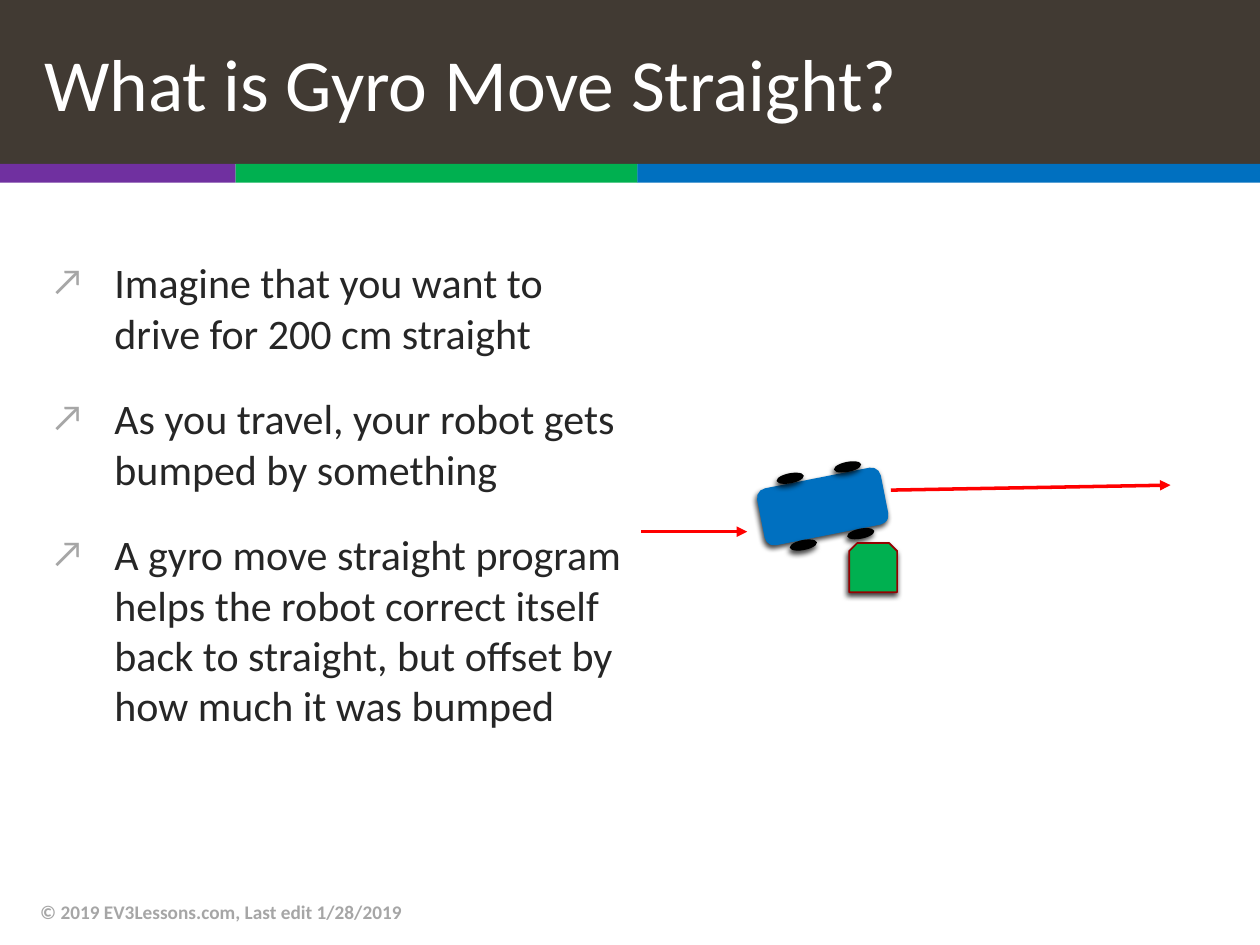
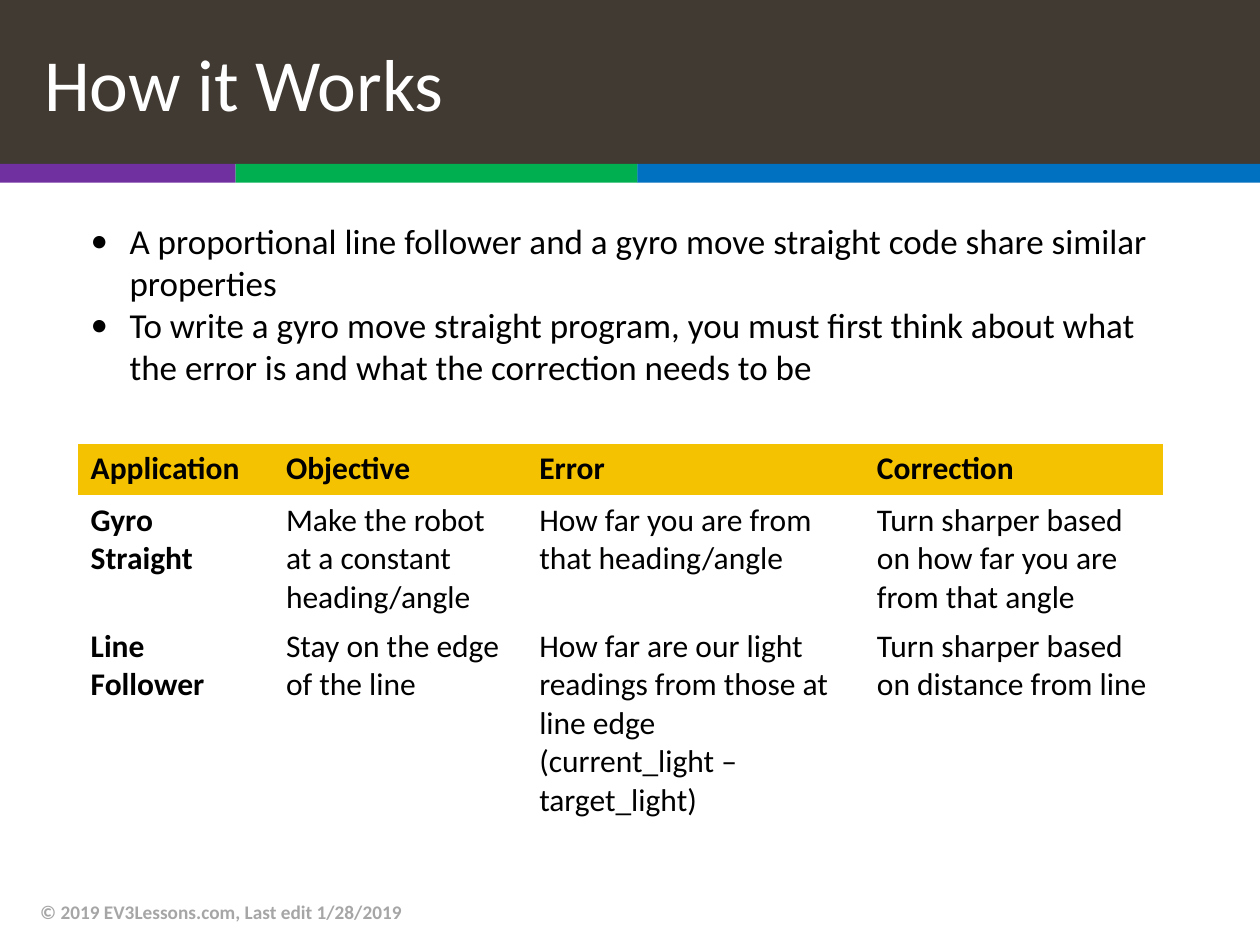
from dataclasses import dataclass
from itertools import product
from math import cos, radians, sin

from lxml import etree
from pptx import Presentation
from pptx import util as u
from pptx.dml.color import RGBColor
from pptx.enum import shapes, text
from pptx.oxml import ns

COLUMNS, ROWS = 100, 75
CELL = u.Inches(0.1)
FONT = "Calibri"
WHITE, BLACK, INK, GREY = "FFFFFF", "000000", "262626", "A6A6A6"
BROWN, PURPLE, GREEN, BLUE = "413A33", "7030A0", "00B050", "0070C0"
RED, MAROON, GOLD = "FF0000", "960000", "F5C201"
NO_STYLE = "{2D5ABB26-0587-4C30-8999-92F81FD0307C}"
SHAPE = shapes.MSO_SHAPE


@dataclass
class Box:
    """A region measured in grid columns and rows."""
    left: float
    top: float
    width: float
    height: float

    def inner(self, column, row, width, height):
        """Return a region placed relative to this one."""
        return Box(self.left + column, self.top + row, width, height)

    def emu(self):
        """Return left, top, width and height as slide lengths."""
        return [cells(n) for n in (self.left, self.top, self.width, self.height)]


PAGE = Box(0, 0, COLUMNS, ROWS)


def cells(count):
    """Convert grid cells to a slide length."""
    return u.Emu(round(count * CELL))


def color(value):
    """Turn a hex string into a colour."""
    return RGBColor.from_string(value)


def add_xml(parent, tag, **attributes):
    """Append a drawing element with attributes."""
    element = etree.SubElement(parent, ns.qn(tag))
    for name, value in attributes.items():
        element.set(name, str(value))
    return element


def set_font(paragraph, size, shade, bold=False):
    """Give a whole paragraph its font."""
    font = paragraph.font
    font.name, font.size, font.bold = FONT, u.Pt(size), bold
    font.color.rgb = color(shade)


def add_shape(slide, kind, box, fill, line=None, tilt=0, shadow=False):
    """Draw a filled preset shape."""
    shape = slide.shapes.add_shape(kind, *box.emu())
    shape.rotation = tilt
    shape.fill.solid()
    shape.fill.fore_color.rgb = color(fill)
    if line:
        shape.line.color.rgb = color(line)
        shape.line.width = u.Pt(1)
    else:
        shape.line.fill.background()
    shape.shadow.inherit = False
    if shadow:
        effects = shape._element.spPr.find(ns.qn("a:effectLst"))
        outer = add_xml(effects, "a:outerShdw", blurRad=u.Pt(3), dist=u.Pt(2),
                        dir=110 * 60000, rotWithShape=0)
        add_xml(add_xml(outer, "a:srgbClr", val=BLACK), "a:alpha", val=75000)
    return shape


def add_arrow(slide, box):
    """Draw a red arrow from the box's top left to its bottom right corner."""
    ends = (box.left, box.top, box.left + box.width, box.top + box.height)
    arrow = slide.shapes.add_connector(shapes.MSO_CONNECTOR.STRAIGHT, *map(cells, ends))
    arrow.line.color.rgb = color(RED)
    arrow.line.width = u.Pt(2)
    props = arrow._element.spPr
    add_xml(props.find(ns.qn("a:ln")), "a:tailEnd", type="triangle")
    add_xml(props, "a:effectLst")


def add_text(slide, box, lines, size, shade, bold=False, bullet=None,
             bullet_shade=None, bullet_size=100, indent=0, gap=0):
    """Place a wrapping text box, with bullets if wanted."""
    frame = slide.shapes.add_textbox(*box.emu()).text_frame
    frame.word_wrap = True
    for number, line in enumerate(lines):
        paragraph = frame.add_paragraph() if number else frame.paragraphs[0]
        paragraph.text = line
        if number and gap:
            paragraph.space_before = u.Pt(gap)
        if bullet:
            props = paragraph._p.get_or_add_pPr()
            props.set("marL", str(cells(indent)))
            props.set("indent", str(-cells(indent)))
            add_xml(add_xml(props, "a:buClr"), "a:srgbClr", val=bullet_shade or shade)
            add_xml(props, "a:buSzPct", val=bullet_size * 1000)
            add_xml(props, "a:buFont", typeface=FONT)
            add_xml(props, "a:buChar", char=bullet)
        set_font(paragraph, size, shade, bold)
    return frame


def add_stripes(slide, box):
    """Draw the three-coloured band across the box."""
    edges = (0, 18.7, 50.6, box.width)
    for fill, start, end in zip((PURPLE, GREEN, BLUE), edges, edges[1:]):
        add_shape(slide, SHAPE.RECTANGLE, box.inner(start, 0, end - start, box.height), fill)


def add_title(slide, box, heading):
    """Move and format the title placeholder."""
    title = slide.shapes.title
    title.left, title.top, title.width, title.height = box.emu()
    title.fill.solid()
    title.fill.fore_color.rgb = color(BROWN)
    frame = title.text_frame
    frame.text = heading
    frame.auto_size = text.MSO_AUTO_SIZE.NONE
    frame.vertical_anchor = text.MSO_ANCHOR.MIDDLE
    paragraph = frame.paragraphs[0]
    paragraph.alignment = text.PP_ALIGN.LEFT
    paragraph._p.get_or_add_pPr().set("marL", str(cells(2.5)))
    set_font(paragraph, 42, WHITE)


def start_slide(deck, heading):
    """Add a slide with the shared title, stripes and footer."""
    slide = deck.slides.add_slide(deck.slide_layouts.get_by_name("Title Only"))
    add_title(slide, PAGE.inner(0, 0, COLUMNS, 13), heading)
    add_stripes(slide, PAGE.inner(0, 13, COLUMNS, 1.5))
    footer = add_text(slide, PAGE.inner(2.2, 70.4, 67, 4),
                      ["© 2019 EV3Lessons.com, Last edit 1/28/2019"], 11, GREY, bold=True)
    footer.vertical_anchor = text.MSO_ANCHOR.MIDDLE
    return slide


def add_robot(slide, box, tilt):
    """Draw a tilted robot body with four wheels set around its centre."""
    add_shape(slide, SHAPE.ROUNDED_RECTANGLE, box, BLUE, tilt=tilt, shadow=True)
    turn = radians(tilt)
    wide, high = 2.2, 0.8
    for along, across in product((-2.1, 2.54), (-2.7, 2.7)):
        x = box.width / 2 + along * cos(turn) - across * sin(turn)
        y = box.height / 2 + along * sin(turn) + across * cos(turn)
        wheel = box.inner(x - wide / 2, y - high / 2, wide, high)
        add_shape(slide, SHAPE.OVAL, wheel, BLACK, tilt=tilt, shadow=True)


def add_bump_scene(slide, box):
    """Show the robot knocked off its course by an obstacle."""
    add_robot(slide, box.inner(9.4, 2.2, 10, 4.6), -11.2)
    add_arrow(slide, box.inner(19.8, 3.2, 22.2, -0.4))
    add_shape(slide, SHAPE.SNIP_2_SAME_RECTANGLE, box.inner(16.5, 7.4, 3.8, 3.9),
              GREEN, line=MAROON, shadow=True)
    add_arrow(slide, box.inner(0, 6.5, 8.4, 0))


def add_comparison(slide, box, widths, rows):
    """Build the table that compares the two applications."""
    frame = slide.shapes.add_table(len(rows), len(widths), *box.emu())
    table = frame.table
    table.horz_banding = False
    table._tbl.tblPr.find(ns.qn("a:tableStyleId")).text = NO_STYLE
    for column, width in zip(table.columns, widths):
        column.width = cells(width)
    for r, entries in enumerate(rows):
        table.rows[r].height = cells(box.height / len(rows))
        for c, entry in enumerate(entries):
            cell = table.cell(r, c)
            if r == 0:
                cell.fill.solid()
                cell.fill.fore_color.rgb = color(GOLD)
            else:
                cell.fill.background()
            paragraph = cell.text_frame.paragraphs[0]
            paragraph.text = entry
            set_font(paragraph, 18, BLACK, bold=r == 0 or c == 0)


def build_what_is(deck):
    """Build the slide that explains the idea."""
    slide = start_slide(deck, "What is Gyro Move Straight?")
    add_text(slide, PAGE.inner(3.1, 19.9, 47.8, 47.1), [
        "Imagine that you want to drive for 200 cm straight",
        "As you travel, your robot gets bumped by something",
        "A gyro move straight program helps the robot correct itself back to straight, "
        "but offset by how much it was bumped",
    ], 24, INK, bullet="↗", bullet_shade=GREY, bullet_size=90, indent=5, gap=20)
    add_bump_scene(slide, PAGE.inner(50.9, 35.7, 42, 11.3))


def build_how_it_works(deck):
    """Build the slide that compares error and correction."""
    slide = start_slide(deck, "How it Works")
    add_comparison(slide, PAGE.inner(6.2, 35.2, 86.1, 12.3), (15.5, 20.1, 26.8, 23.7), [
        ("Application", "Objective", "Error", "Correction"),
        ("Gyro Straight", "Make the robot at a constant heading/angle",
         "How far you are from that heading/angle",
         "Turn sharper based on how far you are from that angle"),
        ("Line Follower", "Stay on the edge of the line",
         "How far are our light readings from those at line edge\n"
         "(current_light – target_light)",
         "Turn sharper based on distance from line"),
    ])
    add_text(slide, PAGE.inner(6.2, 16.9, 86.9, 14.5), [
        "A proportional line follower and a gyro move straight code share similar properties",
        "To write a gyro move straight program, you must first think about what the error is "
        "and what the correction needs to be",
    ], 20, BLACK, bullet="•", indent=3.1)


def main():
    """Build and save the deck."""
    deck = Presentation()
    deck.slide_width, deck.slide_height = cells(COLUMNS), cells(ROWS)
    build_what_is(deck)
    build_how_it_works(deck)
    deck.save("out.pptx")


if __name__ == "__main__":
    main()
